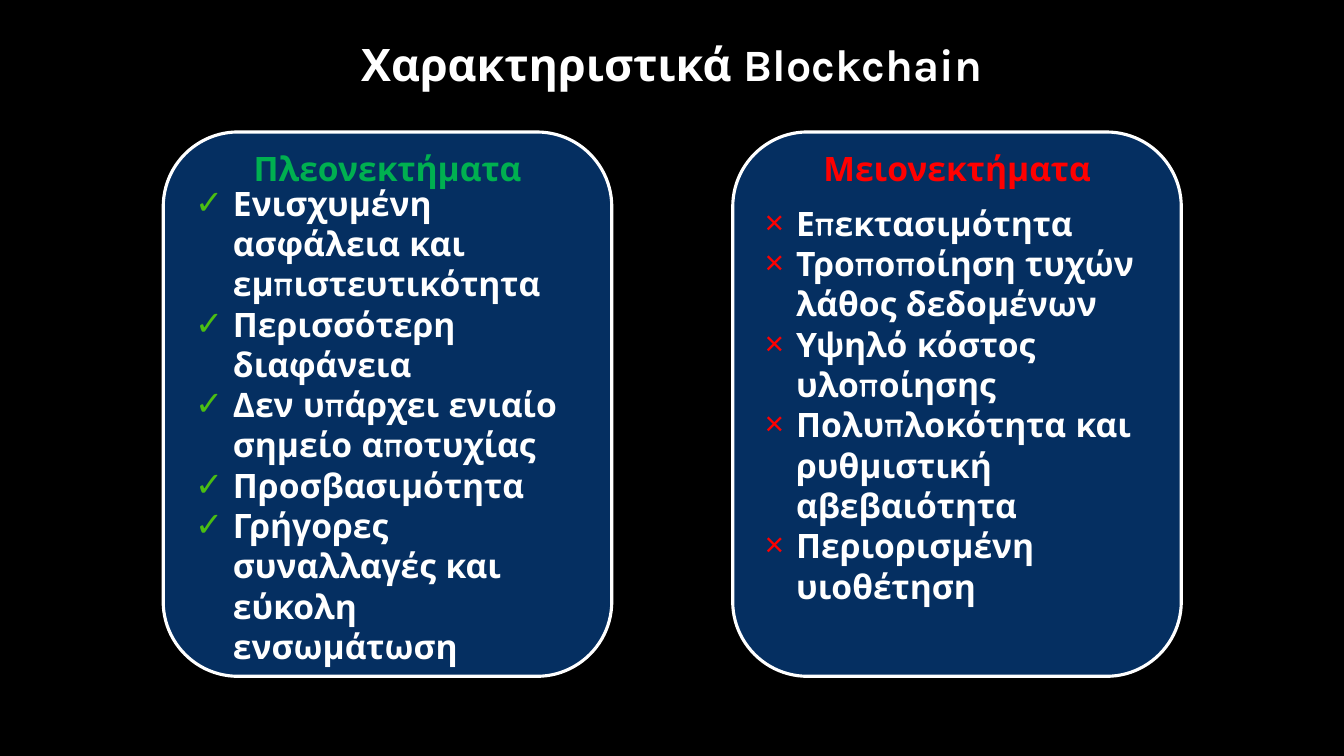
import dataclasses
import lxml.etree
import pptx
import pptx.dml.color
import pptx.enum.shapes
import pptx.enum.text
import pptx.oxml.ns
import pptx.util

Pt = pptx.util.Pt
Align = pptx.enum.text.PP_ALIGN
Anchor = pptx.enum.text.MSO_ANCHOR


@dataclasses.dataclass(frozen=True)
class Theme:
    back: str = "000000"
    card: str = "052F61"
    text: str = "FFFFFF"
    good: str = "00B050"
    tick: str = "4BBE12"
    bad: str = "FF0000"
    head: str = "Karla"
    body: str = "Quicksand"
    big: int = 32
    size: int = 24
    edge: float = 2.25


theme = Theme()


def rgb(code):
    return pptx.dml.color.RGBColor.from_string(code)


def place(shape, box):
    shape.left, shape.top, shape.width, shape.height = map(Pt, box)


def style(frame, font, size, color, align):
    """Format every paragraph and run of a text frame."""
    frame.word_wrap = True
    frame.auto_size = pptx.enum.text.MSO_AUTO_SIZE.NONE
    for para in frame.paragraphs:
        para.alignment = align
        para.space_before = para.space_after = Pt(0)
        for run in para.runs:
            run.font.name = font
            run.font.size = Pt(size)
            run.font.bold = True
            run.font.color.rgb = rgb(color)


def bullet(para, mark, color, indent):
    """Give a paragraph a coloured bullet and a hanging indent."""
    props = para._p.get_or_add_pPr()
    props.set("marL", str(Pt(indent)))
    props.set("indent", str(-Pt(indent)))
    qn = pptx.oxml.ns.qn
    tint = lxml.etree.SubElement(props, qn("a:buClr"))
    lxml.etree.SubElement(tint, qn("a:srgbClr"), val=color)
    lxml.etree.SubElement(props, qn("a:buFont"), typeface="Arial")
    lxml.etree.SubElement(props, qn("a:buChar"), char=mark)


def title(holder, box, text):
    place(holder, box)
    frame = holder.text_frame
    frame.text = text
    frame.vertical_anchor = Anchor.MIDDLE
    style(frame, theme.head, theme.big, theme.text, Align.CENTER)


def card(slide, box, head, body, data):
    """Draw a rounded card with a heading and a bulleted list."""
    left, top, width, height = box

    # Rounded panel, behind the text
    kind = pptx.enum.shapes.MSO_SHAPE.ROUNDED_RECTANGLE
    panel = slide.shapes.add_shape(kind, *map(Pt, box))
    panel.shadow.inherit = False
    panel.fill.solid()
    panel.fill.fore_color.rgb = rgb(theme.card)
    panel.line.color.rgb = rgb(theme.text)
    panel.line.width = Pt(theme.edge)
    slide.shapes._spTree.insert(2, panel._element)

    # Heading
    inset = 41
    place(head, (left + inset, top + 8, width - 2 * inset, 36))
    frame = head.text_frame
    frame.text = data["name"]
    frame.vertical_anchor = Anchor.TOP
    style(frame, theme.body, theme.size, data["color"], Align.CENTER)

    # List
    place(body, box)
    frame = body.text_frame
    frame.text = "\n".join(data["items"])
    frame.vertical_anchor = Anchor.MIDDLE
    frame.margin_left = frame.margin_right = Pt(22.8)
    frame.margin_top, frame.margin_bottom = Pt(data["drop"]), Pt(0)
    for para in frame.paragraphs:
        bullet(para, data["mark"], data["tint"], data["indent"])
    style(frame, theme.body, theme.size, theme.text, Align.LEFT)


PROS = {
    "name": "Πλεονεκτήματα", "color": theme.good,
    "mark": "✓", "tint": theme.tick, "indent": 27, "drop": 28.8,
    "items": [
        "Ενισχυμένη ασφάλεια και εμπιστευτικότητα",
        "Περισσότερη διαφάνεια",
        "Δεν υπάρχει ενιαίο σημείο αποτυχίας",
        "Προσβασιμότητα",
        "Γρήγορες συναλλαγές και εύκολη ενσωμάτωση",
    ],
}
CONS = {
    "name": "Μειονεκτήματα", "color": theme.bad,
    "mark": "×", "tint": theme.bad, "indent": 22.5, "drop": 0,
    "items": [
        "Επεκτασιμότητα",
        "Τροποποίηση τυχών λάθος δεδομένων",
        "Υψηλό κόστος υλοποίησης",
        "Πολυπλοκότητα και ρυθμιστική αβεβαιότητα",
        "Περιορισμένη υιοθέτηση",
    ],
}


def main():
    deck = pptx.Presentation()
    deck.slide_width, deck.slide_height = Pt(960), Pt(540)
    slide = deck.slides.add_slide(deck.slide_layouts.get_by_name("Comparison"))
    slide.background.fill.solid()
    slide.background.fill.fore_color.rgb = rgb(theme.back)

    holds = slide.placeholders
    title(holds[0], (180.7, 22.3, 598.3, 46), "Χαρακτηριστικά Blockchain")
    for col, data in enumerate((PROS, CONS)):
        box = (116.6 + col * 406.8, 94.3, 320.4, 388.8)
        card(slide, box, holds[1 + 2 * col], holds[2 + 2 * col], data)

    deck.save("out.pptx")


if __name__ == "__main__":
    main()
